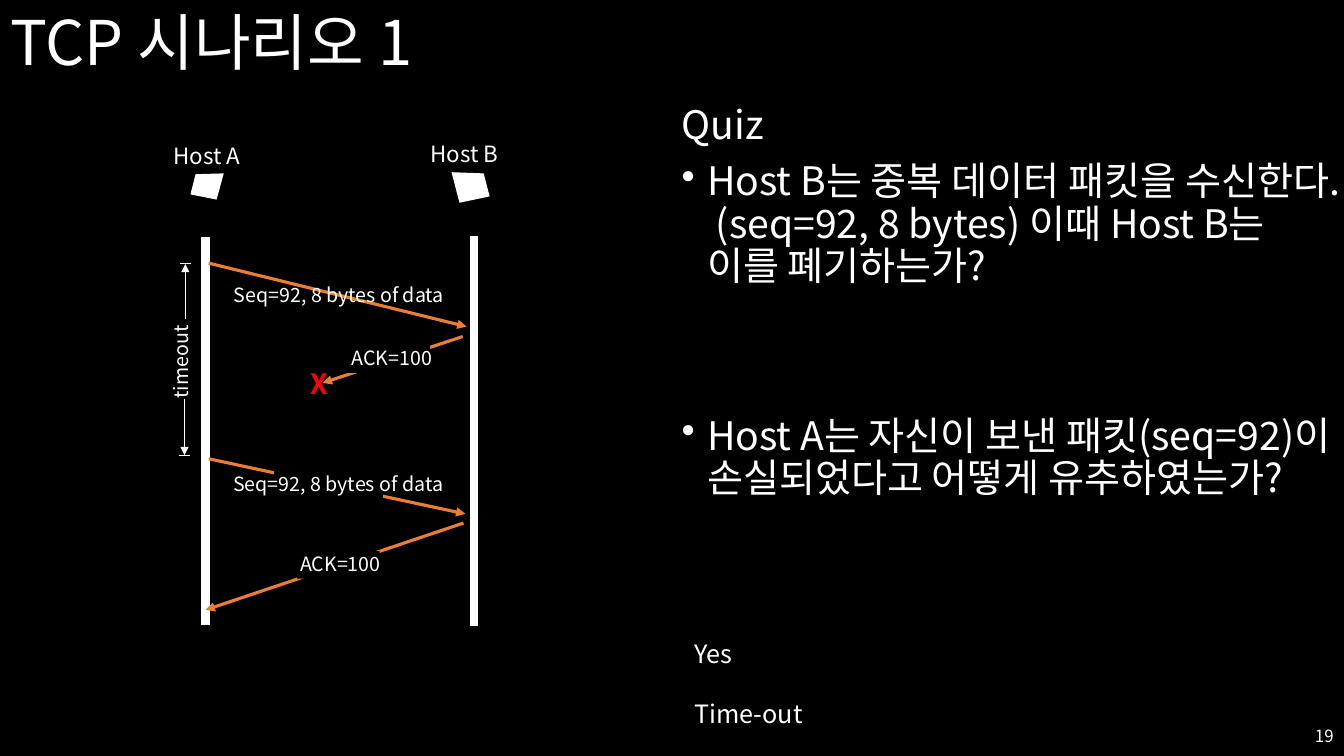
from dataclasses import dataclass
from typing import Optional

import pptx
import pptx.dml.color
import pptx.enum.shapes
import pptx.enum.text
import pptx.oxml
import pptx.oxml.ns
import pptx.util

Cm = pptx.util.Cm
Pt = pptx.util.Pt
ALIGN = pptx.enum.text.PP_ALIGN
ANCHOR = pptx.enum.text.MSO_ANCHOR
Point = tuple[float, float]
Box = tuple[float, float, float, float]


@dataclass(frozen=True)
class Theme:
    font: str = "Noto Sans CJK KR"
    back: str = "000000"
    ink: str = "FFFFFF"
    message: str = "ED7D31"
    loss: str = "FF0000"
    title: int = 44
    body: int = 28
    mark: int = 20
    answer: int = 18
    host: int = 16
    label: int = 14
    number: int = 12


@dataclass(frozen=True)
class Host:
    name: str
    label: Box
    icon: tuple[Point, ...]
    x: float
    top: float
    bottom: float


@dataclass(frozen=True)
class Message:
    text: str
    start: Point
    end: Point
    label: Box
    mask: Optional[Box] = None


@dataclass(frozen=True)
class Para:
    text: str
    before: float = 0
    bullet: bool = False


T = Theme()
SEQ, ACK = "Seq=92, 8 bytes of data", "ACK=100"

# Lengths are in centimetres
HOSTS = [
    Host("Host A", (4.09, 3.45, 2.26, 0.94),
         ((5.64, 4.37), (4.93, 4.39), (4.8, 4.9), (5.46, 5.03)), 5.18, 5.97, 15.75),
    Host("Host B", (10.57, 3.4, 2.26, 0.94),
         ((11.38, 4.34), (12.19, 4.37), (12.34, 4.95), (11.58, 5.11)), 11.94, 5.94, 15.77),
]
MESSAGES = [
    Message(SEQ, (5.26, 6.63), (11.76, 8.23), (5.61, 7.01, 5.87, 0.86)),
    Message(ACK, (11.66, 8.48), (8.13, 9.65), (8.56, 8.59, 2.64, 0.84),
            (8.76, 8.71, 2.08, 0.69)),
    Message(SEQ, (5.26, 11.56), (11.73, 12.95), (5.59, 11.76, 5.87, 0.86),
            (6.91, 11.53, 2.74, 1.19)),
    Message(ACK, (11.68, 13.18), (5.18, 15.37), (7.26, 13.79, 2.64, 0.84),
            (7.49, 13.89, 2.08, 0.69)),
]
QUIZ = [
    Para("Quiz"),
    Para("Host B는 중복 데이터 패킷을 수신한다. (seq=92, 8 bytes) 이때 Host B는 이를 폐기하는가?", 10, True),
    Para("Host A는 자신이 보낸 패킷(seq=92)이 손실되었다고 어떻게 유추하였는가?", 91, True),
]
ANSWERS = [Para("Yes"), Para("Time-out", 21.5)]


def rgb(color: str) -> pptx.dml.color.RGBColor:
    return pptx.dml.color.RGBColor.from_string(color)


def add_xml(parent, tag: str, **attrs: str) -> None:
    el = pptx.oxml.parse_xml(f"<a:{tag} {pptx.oxml.ns.nsdecls('a')}/>")
    for key, value in attrs.items():
        el.set(key, value)
    parent.append(el)


def write(tf, paras: list[Para], size: int, color: str = T.ink, bold: bool = False,
          align=ALIGN.LEFT, anchor=ANCHOR.TOP, spacing: Optional[float] = None,
          wrap: bool = True) -> None:
    tf.word_wrap = wrap
    tf.auto_size = pptx.enum.text.MSO_AUTO_SIZE.NONE
    tf.vertical_anchor = anchor
    for i, para in enumerate(paras):
        p = tf.add_paragraph() if i else tf.paragraphs[0]
        if para.bullet:
            pPr = p._p.get_or_add_pPr()
            pPr.set("marL", str(Cm(0.64)))
            pPr.set("indent", str(-Cm(0.64)))
            add_xml(pPr, "buChar", char="•")
        p.alignment = align
        p.space_before = Pt(para.before)
        if spacing:
            p.line_spacing = spacing
        r = p.add_run()
        r.text = para.text
        r.font.size, r.font.bold, r.font.name = Pt(size), bold, T.font
        r.font.color.rgb = rgb(color)
        add_xml(r._r.get_or_add_rPr(), "ea", typeface=T.font)


def add_text(s, box: Box, paras: list[Para], size: int, **fmt):
    sp = s.shapes.add_textbox(*map(Cm, box))
    write(sp.text_frame, paras, size, **fmt)
    return sp


def add_label(s, box: Box, text: str, size: int, **fmt):
    return add_text(s, box, [Para(text)], size, align=ALIGN.CENTER, wrap=False, **fmt)


def add_line(s, start: Point, end: Point, color: str, width: float, arrow: bool = False) -> None:
    kind = pptx.enum.shapes.MSO_CONNECTOR.STRAIGHT
    sp = s.shapes.add_connector(kind, *map(Cm, start + end))
    sp.line.color.rgb = rgb(color)
    sp.line.width = Pt(width)
    if arrow:
        add_xml(sp.line._get_or_add_ln(), "tailEnd", type="triangle")
    add_xml(sp._element.spPr, "effectLst")


def fill_plain(sp, color: str) -> None:
    sp.shadow.inherit = False
    sp.fill.solid()
    sp.fill.fore_color.rgb = rgb(color)
    sp.line.fill.background()


def add_host(s, host: Host) -> None:
    add_label(s, host.label, host.name, T.host)
    first, *rest = [(Cm(x), Cm(y)) for x, y in host.icon]
    builder = s.shapes.build_freeform(*first)
    builder.add_line_segments(rest, close=True)
    fill_plain(builder.convert_to_shape(), T.ink)
    add_line(s, (host.x, host.top), (host.x, host.bottom), T.ink, 6)


def add_message(s, msg: Message) -> None:
    add_line(s, msg.start, msg.end, T.message, 2.25, arrow=True)
    if msg.mask:
        kind = pptx.enum.shapes.MSO_SHAPE.RECTANGLE
        fill_plain(s.shapes.add_shape(kind, *map(Cm, msg.mask)), T.back)
    add_label(s, msg.label, msg.text, T.label)


def add_timeout(s) -> None:
    for x, inner, outer in ((4.67, 8.05, 6.65), (4.65, 10.06, 11.47)):
        add_line(s, (x, inner), (x, outer), T.ink, 0.75, arrow=True)
        add_line(s, (x - 0.14, outer), (x + 0.14, outer), T.ink, 0.75)
    sp = add_label(s, (4.14, 8.13, 1.12, 1.98), "timeout", T.label)
    sp.text_frame._txBody.bodyPr.set("vert", "vert270")


def main() -> None:
    prs = pptx.Presentation()
    prs.slide_width, prs.slide_height = Cm(33.87), Cm(19.05)
    s = prs.slides.add_slide(prs.slide_layouts[5])
    s.background.fill.solid()
    s.background.fill.fore_color.rgb = rgb(T.back)

    # Title
    title = s.shapes.title
    title.left, title.top, title.width, title.height = map(Cm, (0, 0, 33.87, 2.29))
    write(title.text_frame, [Para("TCP 시나리오 1")], T.title, anchor=ANCHOR.MIDDLE, spacing=0.9)

    # Sequence diagram
    for host in HOSTS:
        add_host(s, host)
    for msg in MESSAGES:
        add_message(s, msg)
    add_label(s, (7.57, 9.12, 0.94, 1.12), "X", T.mark, color=T.loss, bold=True)
    add_timeout(s)

    # Quiz, answers and slide number
    add_text(s, (16.93, 2.54, 16.93, 15.54), QUIZ, T.body, spacing=0.9)
    add_text(s, (17.25, 15.95, 5.51, 2.57), ANSWERS, T.answer)
    add_text(s, (26.24, 18.03, 7.62, 1.02), [Para("19")], T.number,
             align=ALIGN.RIGHT, anchor=ANCHOR.MIDDLE)

    prs.save("out.pptx")


if __name__ == "__main__":
    main()
